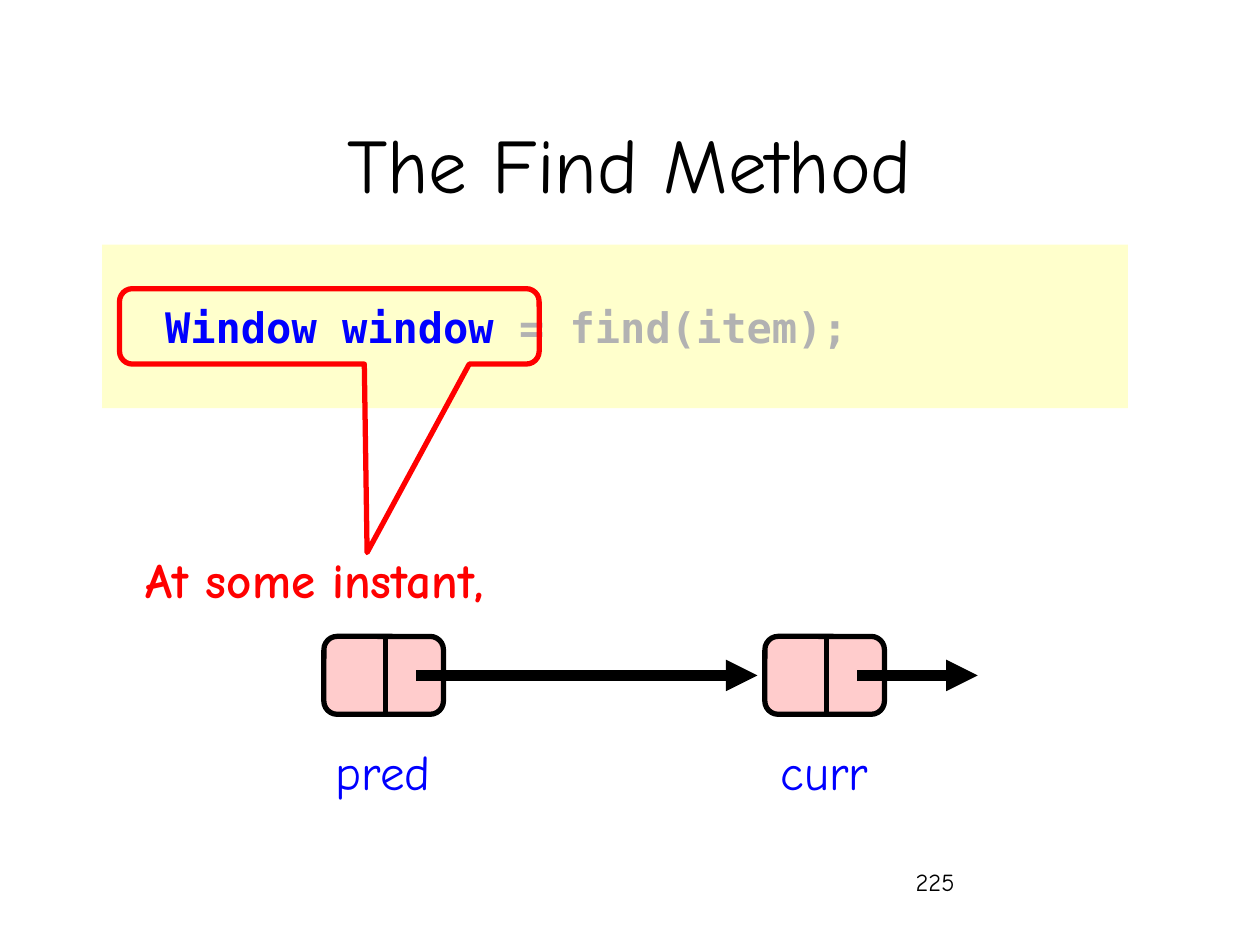
from dataclasses import dataclass

from pptx import Presentation
from pptx.dml.color import RGBColor as RGB
from pptx.enum.shapes import MSO_CONNECTOR as CONN, MSO_SHAPE as SHAPE
from pptx.enum.text import MSO_ANCHOR as ANCHOR, PP_ALIGN as ALIGN
from pptx.oxml.ns import qn
from pptx.util import Cm, Pt
from lxml import etree


@dataclass
class Theme:
    black: RGB = RGB(0x00, 0x00, 0x00)
    blue: RGB = RGB(0x00, 0x00, 0xFF)
    red: RGB = RGB(0xFF, 0x00, 0x00)
    gray: RGB = RGB(0xB2, 0xB2, 0xB2)
    yellow: RGB = RGB(0xFF, 0xFF, 0xCC)
    pink: RGB = RGB(0xFF, 0xCC, 0xCC)
    font: str = "Comic Neue"
    mono: str = "DejaVu Sans Mono"
    title: int = 44
    body: int = 28
    code: int = 24
    number: int = 14
    outline: int = 3
    arrow: int = 6


T = Theme()
prs = Presentation()
prs.slide_width, prs.slide_height = Cm(25.4), Cm(19.05)
s = prs.slides.add_slide(prs.slide_layouts[6])


def add_text(text, x, y, w, h, size, color, align=ALIGN.CENTER, bold=False):
    tf = s.shapes.add_textbox(Cm(x), Cm(y), Cm(w), Cm(h)).text_frame
    tf.word_wrap = True
    p = tf.paragraphs[0]
    p.text, p.alignment = text, align
    p.font.name, p.font.size, p.font.bold = T.font, Pt(size), bold
    p.font.color.rgb = color
    return tf


def add_line(x1, y1, x2, y2, width, arrow=False):
    c = s.shapes.add_connector(CONN.STRAIGHT, Cm(x1), Cm(y1), Cm(x2), Cm(y2))
    c.line.color.rgb, c.line.width = T.black, Pt(width)
    if arrow:
        etree.SubElement(c.line._get_or_add_ln(), qn("a:tailEnd"), type="triangle")
    etree.SubElement(c._element.spPr, qn("a:effectLst"))


# Page number and title
add_text("225", 18.21, 17.35, 5.28, 1.27, T.number, T.black, ALIGN.LEFT)
tf = add_text("The Find Method", 1.9, 1.7, 21.59, 3.18, T.title, T.black)
tf.vertical_anchor = ANCHOR.MIDDLE

# Code panel
sp = s.shapes.add_shape(SHAPE.RECTANGLE, Cm(2.06), Cm(4.93), Cm(20.68), Cm(3.3))
sp.shadow.inherit = False
sp.fill.solid()
sp.fill.fore_color.rgb = T.yellow
sp.line.fill.background()
tf = sp.text_frame
tf.vertical_anchor = ANCHOR.MIDDLE
p = tf.paragraphs[0]
p.alignment = ALIGN.LEFT
p.font.name, p.font.size, p.font.bold = T.mono, Pt(T.code), True
for text, color in (("  Window window ", T.blue), ("= find(item);", T.gray)):
    r = p.add_run()
    r.text, r.font.color.rgb = text, color

# Callout around the declaration
sp = s.shapes.add_shape(SHAPE.ROUNDED_RECTANGULAR_CALLOUT,
                        Cm(2.41), Cm(5.82), Cm(8.46), Cm(1.52))
sp.shadow.inherit = False
sp.fill.background()
sp.line.color.rgb, sp.line.width = T.red, Pt(T.outline)
for i, value in enumerate((0.09, 3.0, 0.17)):
    sp.adjustments[i] = value
add_text("At some instant, ", 1.09, 10.95, 10.85, 1.45, T.body, T.red, bold=True)

# List nodes: box, divider, pointer and label
NODE_X, NODE_STEP, NODE_Y, NODE_W, NODE_H = 6.53, 8.89, 12.83, 2.41, 1.57
for i, (label, reach) in enumerate((("pred", 8.74), ("curr", 4.29))):
    x = NODE_X + i * NODE_STEP
    mid_y = NODE_Y + NODE_H / 2
    sp = s.shapes.add_shape(SHAPE.ROUNDED_RECTANGLE,
                            Cm(x), Cm(NODE_Y), Cm(NODE_W), Cm(NODE_H))
    sp.shadow.inherit = False
    sp.adjustments[0] = 0.17
    sp.fill.solid()
    sp.fill.fore_color.rgb = T.pink
    sp.line.color.rgb, sp.line.width = T.black, Pt(T.outline)
    add_line(x + 1.24, NODE_Y, x + 1.24, NODE_Y + NODE_H, T.outline)
    add_line(x + 1.86, mid_y, x + reach, mid_y, T.arrow, arrow=True)
    tf = add_text(label, x - 0.1, 14.83, 2.6, 1.45, T.body, T.blue)
    tf.word_wrap = False

prs.save("out.pptx")
